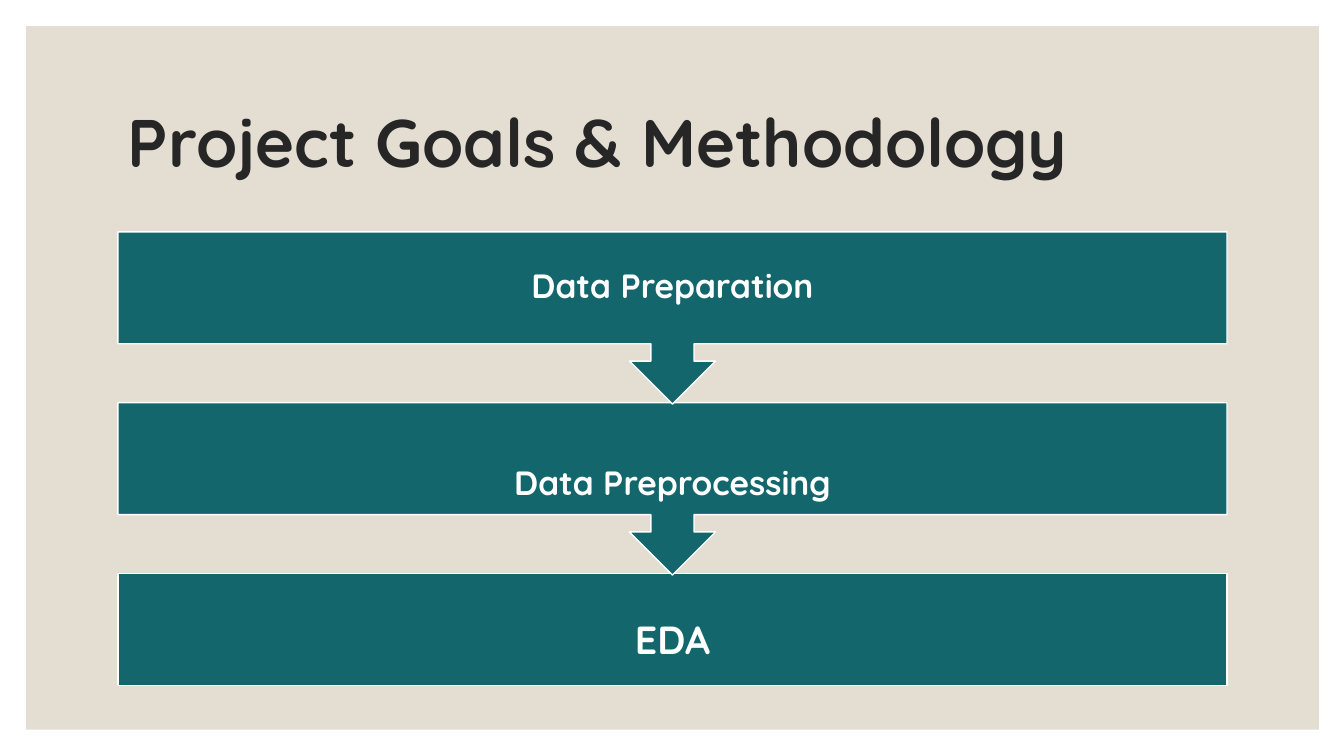
"""Build the Project Goals & Methodology slide with its three-step flow."""
from pptx import Presentation
from pptx.dml.color import RGBColor
from pptx.enum.shapes import MSO_SHAPE
from pptx.enum.text import MSO_ANCHOR, PP_ALIGN
from pptx.util import Inches, Pt

RECTANGLE = MSO_SHAPE.RECTANGLE
ARROW_CALLOUT = MSO_SHAPE.DOWN_ARROW_CALLOUT
MIDDLE = MSO_ANCHOR.MIDDLE
LEFT, CENTER = PP_ALIGN.LEFT, PP_ALIGN.CENTER

CREAM, TEAL, WHITE, CHARCOAL = "E3DED1", "13676C", "FFFFFF", "262626"
COLUMN_LEFT, COLUMN_WIDTH = Inches(1.17), Inches(11)
FIRST_TOP, STEP_PITCH = 2.3, 1.695


def rgb(value):
    return RGBColor.from_string(value)


def write(frame, text, size, color, align):
    frame.word_wrap = True
    frame.vertical_anchor = MIDDLE
    paragraph = frame.paragraphs[0]
    paragraph.alignment = align
    paragraph.line_spacing = 0.9
    run = paragraph.add_run()
    run.text = text
    run.font.color.rgb = rgb(color)
    font_format = {"name": "Quicksand", "size": Pt(size), "bold": True}
    for key, value in font_format.items():
        setattr(run.font, key, value)


prs = Presentation()
prs.slide_width, prs.slide_height = Inches(13.33), Inches(7.5)
slide = prs.slides.add_slide(prs.slide_layouts[6])

panel = slide.shapes.add_shape(
    RECTANGLE, Inches(0.26), Inches(0.26), Inches(12.82), Inches(6.98))
panel.shadow.inherit = False
panel.fill.solid()
panel.fill.fore_color.rgb = rgb(CREAM)
panel.line.fill.background()

title = slide.shapes.add_textbox(COLUMN_LEFT, Inches(0.7), COLUMN_WIDTH, Inches(1.5))
write(title.text_frame, "Project Goals & Methodology", 48, CHARCOAL, LEFT)

steps = [
    ("Data Preparation", ARROW_CALLOUT, 1.71, 24, 0),
    ("Data Preprocessing", ARROW_CALLOUT, 1.71, 24, 0.51),
    ("EDA", RECTANGLE, 1.11, 28, 0.25),
]
for index, (label, outline, height, size, top_inset) in reversed(list(enumerate(steps))):
    step = slide.shapes.add_shape(
        outline, COLUMN_LEFT, Inches(FIRST_TOP + index * STEP_PITCH),
        COLUMN_WIDTH, Inches(height))
    step.shadow.inherit = False
    step.fill.solid()
    step.fill.fore_color.rgb = rgb(TEAL)
    step.line.color.rgb = rgb(WHITE)
    step.line.width = Pt(1)
    step.text_frame.margin_top = Inches(top_inset)
    step.text_frame.margin_bottom = 0
    write(step.text_frame, label, size, WHITE, CENTER)

prs.save("out.pptx")
